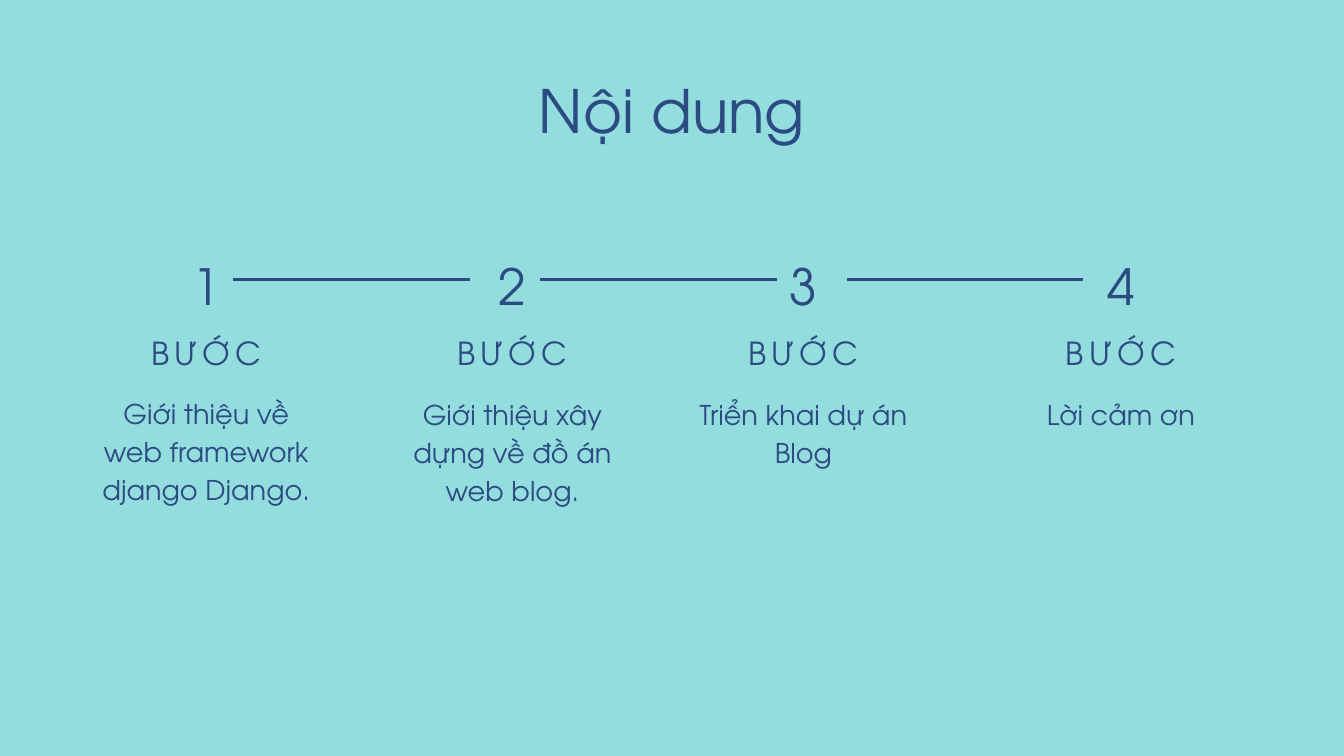
from typing import NamedTuple

from lxml import etree
from pptx import Presentation
from pptx.dml.color import RGBColor
from pptx.enum.shapes import MSO_CONNECTOR
from pptx.enum.text import MSO_ANCHOR, PP_ALIGN
from pptx.oxml.ns import qn
from pptx.slide import Slide
from pptx.util import Pt

LINE = MSO_CONNECTOR.STRAIGHT
TOP = MSO_ANCHOR.TOP
CENTER = PP_ALIGN.CENTER
AQUA = RGBColor(0x94, 0xDD, 0xDE)
NAVY = RGBColor(0x2B, 0x4B, 0x82)
FONT = "TeX Gyre Adventor"


class Style(NamedTuple):
    size: float
    lead: float
    space: float = 0


class Step(NamedTuple):
    mid: float
    width: float
    top: float
    lines: list[str]


TITLE = Style(64, 76.8)
DIGIT = Style(53.4, 74.7, 9.1)
LABEL = Style(34, 47.5, 5.8)
BODY = Style(29.1, 40.8)

STEPS = [
    Step(221, 234.7, 419.8, ["Giới thiệu về web framework django Django."]),
    Step(549, 229.7, 421.2, ["Giới thiệu xây dựng về đồ án web blog."]),
    Step(860.8, 234.7, 421.2, ["Triển khai dự án", "Blog"]),
    Step(1201, 256.3, 421.2, ["Lời cảm ơn"]),
]


def add_text(slide: Slide, mid: float, top: float, width: float,
             lines: list[str], style: Style) -> None:
    box = slide.shapes.add_textbox(
        Pt(mid - width / 2), Pt(top), Pt(width), Pt(style.lead * len(lines)))
    frame = box.text_frame
    frame.word_wrap = True
    frame.vertical_anchor = TOP
    frame.margin_left = frame.margin_right = 0
    frame.margin_top = frame.margin_bottom = 0
    frame.text = "\n".join(lines)
    for para in frame.paragraphs:
        para.alignment = CENTER
        para.line_spacing = Pt(style.lead)
        para.font.name = FONT
        para.font.size = Pt(style.size)
        para.font.color.rgb = NAVY
        if style.space:
            for run in para.runs:
                run._r.get_or_add_rPr().set("spc", str(round(style.space * 100)))


def add_step(slide: Slide, num: int, step: Step) -> None:
    add_text(slide, step.mid, 263.5, 57.6, [str(num)], DIGIT)
    add_text(slide, step.mid, 350.6, step.width, ["BƯỚC"], LABEL)
    add_text(slide, step.mid, step.top, step.width, step.lines, BODY)


def add_link(slide: Slide, left: float) -> None:
    y = Pt(299.5)
    link = slide.shapes.add_connector(LINE, Pt(left), y, Pt(left + 253.4), y)
    link.line.color.rgb = NAVY
    link.line.width = Pt(3.64)
    etree.SubElement(link._element.spPr, qn("a:effectLst"))


def main() -> None:
    deck = Presentation()
    deck.slide_width, deck.slide_height = Pt(1440), Pt(810)
    slide = deck.slides.add_slide(deck.slide_layouts[6])
    fill = slide.background.fill
    fill.solid()
    fill.fore_color.rgb = AQUA

    add_text(slide, 720, 79.2, 1270, ["Nội dung"], TITLE)
    for num, step in enumerate(STEPS, 1):
        add_step(slide, num, step)
    for i in range(len(STEPS) - 1):
        add_link(slide, 249.9 + 328.7 * i)
    deck.save("out.pptx")


if __name__ == "__main__":
    main()
